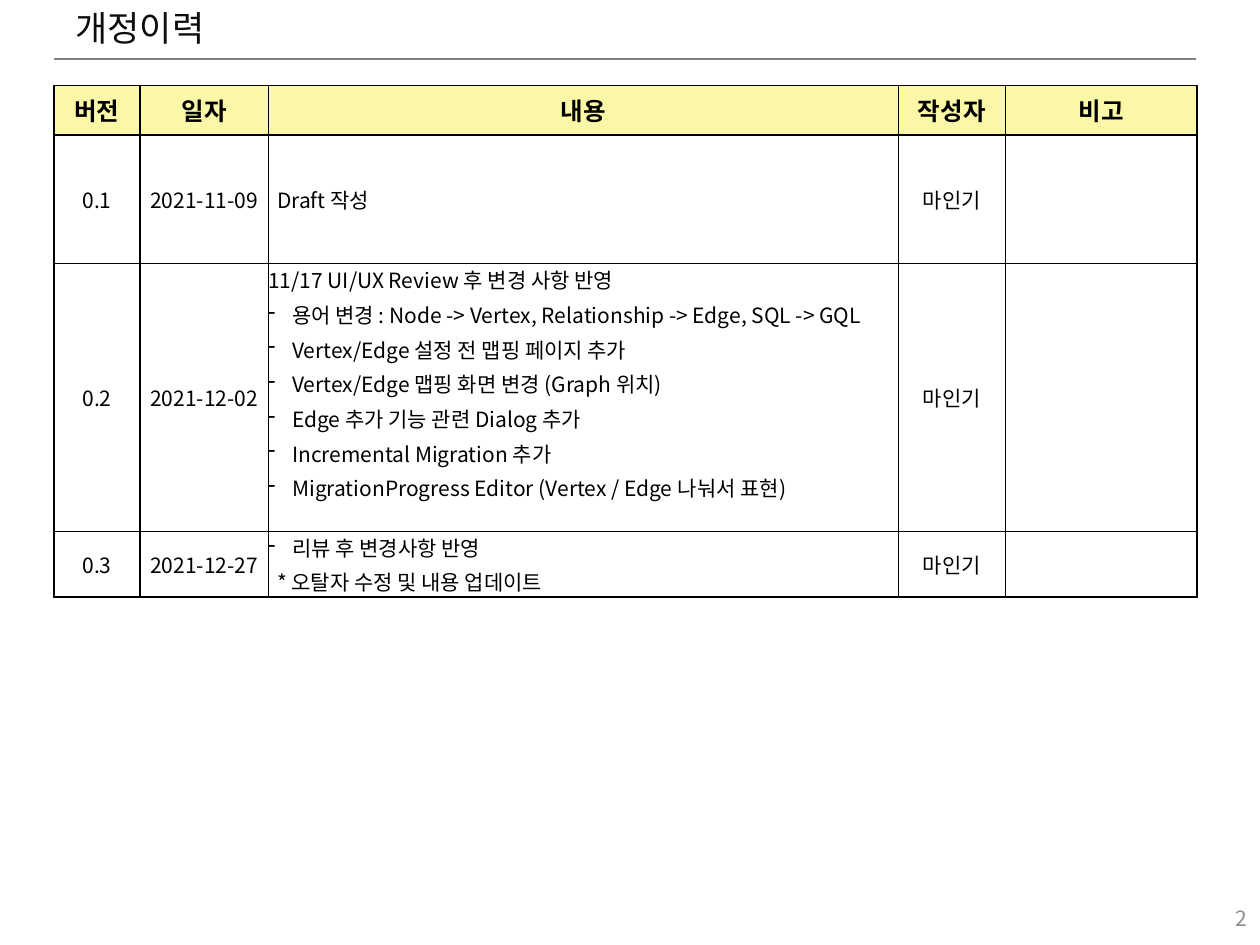
from lxml.etree import SubElement
from pptx import Presentation
from pptx.dml.color import RGBColor
from pptx.enum.text import MSO_ANCHOR, PP_ALIGN
from pptx.oxml.ns import qn
from pptx.util import Inches, Pt

FONT = "Noto Sans CJK KR"
BLACK = RGBColor(0x00, 0x00, 0x00)
TITLE_COLOR = RGBColor(0x0D, 0x0D, 0x0D)
RULE_GRAY = RGBColor(0x80, 0x80, 0x80)
NUMBER_GRAY = RGBColor(0x8C, 0x8C, 0x8C)
HEADER_YELLOW = RGBColor(0xFA, 0xF8, 0xA6)

COLUMN_WIDTHS = [0.68, 1.02, 5, 0.85, 1.52]
ROW_HEIGHTS = [0.39, 1.02, 2.13, 0.52]
CONTENT_COLUMN = 2
HEADERS = ["버전", "일자", "내용", "작성자", "비고"]
# Each content line is (style, text).
REVISIONS = [
    ("0.1", "2021-11-09", [("indent", "Draft 작성")], "마인기", ""),
    ("0.2", "2021-12-02", [
        ("plain", "11/17 UI/UX Review 후 변경 사항 반영"),
        ("bullet", "용어 변경 : Node -> Vertex, Relationship -> Edge, SQL -> GQL"),
        ("bullet", "Vertex/Edge 설정 전 맵핑 페이지 추가"),
        ("bullet", "Vertex/Edge 맵핑 화면 변경 (Graph 위치)"),
        ("bullet", "Edge 추가 기능 관련 Dialog 추가"),
        ("bullet", "Incremental Migration 추가"),
        ("bullet", "MigrationProgress Editor (Vertex / Edge 나눠서 표현)"),
    ], "마인기", ""),
    ("0.3", "2021-12-27", [
        ("bullet", "리뷰 후 변경사항 반영"),
        ("indent", "* 오탈자 수정 및 내용 업데이트"),
    ], "마인기", ""),
]


def write(paragraph, text, size, color, bold=False):
    paragraph.text = text
    for run in paragraph.runs:
        run.font.size = Pt(size)
        run.font.bold = bold
        run.font.name = FONT
        run.font.color.rgb = color
        SubElement(run.font._element, qn("a:ea"), typeface=FONT)


def add_borders(cell):
    properties = cell._tc.get_or_add_tcPr()
    for index, side in enumerate(("a:lnL", "a:lnR", "a:lnT", "a:lnB")):
        line = properties.makeelement(qn(side), {"w": str(Pt(1))})
        fill = SubElement(line, qn("a:solidFill"))
        SubElement(fill, qn("a:srgbClr"), val=str(BLACK))
        properties.insert(index, line)


presentation = Presentation()
presentation.slide_width = Inches(10)
presentation.slide_height = Inches(7.5)
slide = presentation.slides.add_slide(presentation.slide_layouts[6])

# Title and the rule below it
rule = slide.shapes.add_connector(1, Inches(0.43), Inches(0.47), Inches(9.49), Inches(0.47))
rule.line.color.rgb = RULE_GRAY
rule.line.width = Pt(1.25)
SubElement(rule._element.spPr, qn("a:effectLst"))

title = slide.shapes.add_textbox(Inches(0.5), Inches(0.05), Inches(9), Inches(0.31))
title.text_frame.word_wrap = True
title.text_frame.margin_top = title.text_frame.margin_bottom = 0
write(title.text_frame.paragraphs[0], "개정이력", 20, TITLE_COLOR)

# Page number
page_number = slide.shapes.add_textbox(Inches(7.67), Inches(7.09), Inches(2.33), Inches(0.4))
page_number.text_frame.word_wrap = True
page_number.text_frame.vertical_anchor = MSO_ANCHOR.MIDDLE
page_number.text_frame.paragraphs[0].alignment = PP_ALIGN.RIGHT
write(page_number.text_frame.paragraphs[0], "2", 12, NUMBER_GRAY)

# Revision table
rows = [HEADERS, *REVISIONS]
table = slide.shapes.add_table(
    len(rows), len(HEADERS), Inches(0.43), Inches(0.68),
    Inches(sum(COLUMN_WIDTHS)), Inches(sum(ROW_HEIGHTS))).table
for column, width in zip(table.columns, COLUMN_WIDTHS):
    column.width = Inches(width)
for row, height in zip(table.rows, ROW_HEIGHTS):
    row.height = Inches(height)

for row_index, values in enumerate(rows):
    is_header = row_index == 0
    size = 14 if is_header else 12
    for column_index, value in enumerate(values):
        cell = table.cell(row_index, column_index)
        cell.vertical_anchor = MSO_ANCHOR.MIDDLE
        cell.margin_left = cell.margin_right = cell.margin_top = cell.margin_bottom = 0
        if is_header:
            cell.fill.solid()
            cell.fill.fore_color.rgb = HEADER_YELLOW
        else:
            cell.fill.background()
        add_borders(cell)

        centered = is_header or column_index != CONTENT_COLUMN
        lines = [("plain", value)] if centered else value
        for line_index, (style, text) in enumerate(lines):
            text_frame = cell.text_frame
            paragraph = text_frame.add_paragraph() if line_index else text_frame.paragraphs[0]
            paragraph.alignment = PP_ALIGN.CENTER if centered else PP_ALIGN.LEFT
            paragraph.space_before = Pt(size * 0.2)
            write(paragraph, text, size, BLACK, bold=is_header)
            properties = paragraph._p.get_or_add_pPr()
            if style == "bullet":
                properties.set("marL", str(Inches(0.19)))
                properties.set("indent", str(-Inches(0.19)))
                SubElement(properties, qn("a:buChar"), char="-")
            elif style == "indent":
                properties.set("marL", str(Inches(0.07)))

# The long list sits at the top of its cell
table.cell(2, CONTENT_COLUMN).margin_bottom = Inches(0.22)

presentation.save("out.pptx")
